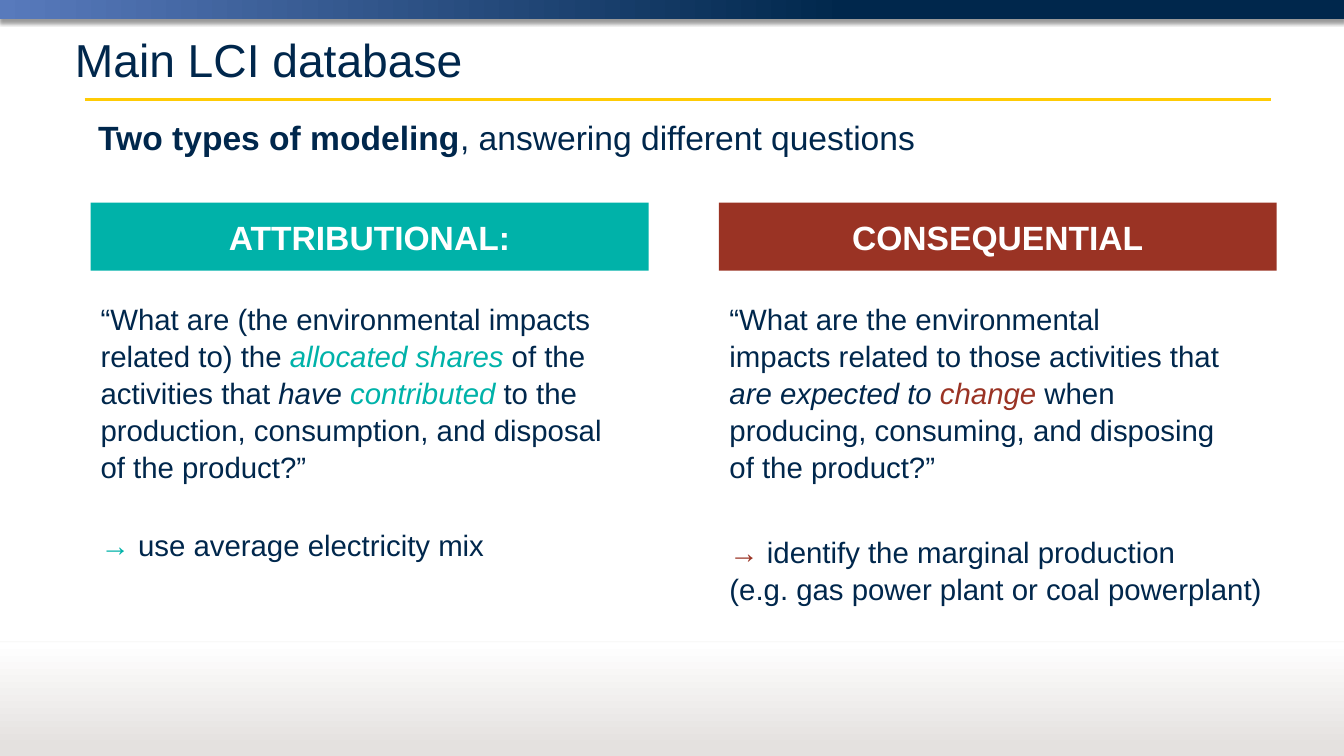
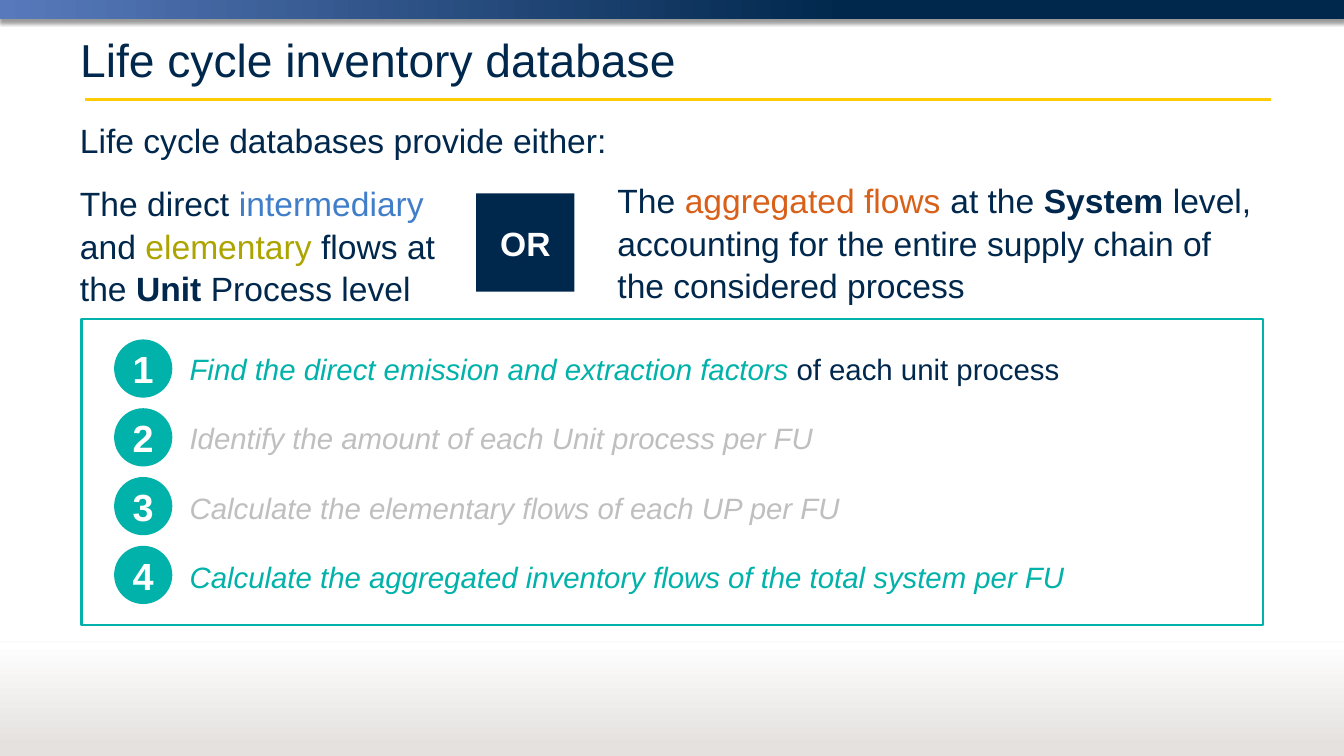
from dataclasses import dataclass

from lxml.etree import SubElement
from pptx import Presentation
from pptx.dml.color import RGBColor
from pptx.enum.shapes import MSO_CONNECTOR as Link, MSO_SHAPE as Kind
from pptx.enum.text import MSO_ANCHOR as Anchor, MSO_AUTO_SIZE as Fit, PP_ALIGN as Align
from pptx.oxml.ns import qn
from pptx.util import Inches, Pt


@dataclass(frozen=True)
class Theme:
    font: str = "Arial"
    navy: str = "00274C"
    blue: str = "587ABC"
    maize: str = "FFCB05"
    stone: str = "E4E1DF"
    white: str = "FFFFFF"
    black: str = "000000"
    teal: str = "00B2A9"
    red: str = "9A3324"
    sky: str = "407EC9"
    olive: str = "ADA400"
    orange: str = "D86018"
    grey: str = "BFBFBF"
    title: int = 44
    badge: int = 36
    head: int = 32
    body: int = 28
    lead: float = 1.05


T = Theme()
WIDE, HIGH = 17.78, 10

MODELS = {
    "title": "Main LCI database",
    "lead": [("Two types of modeling", T.navy, "b"), (", answering different questions",)],
    "columns": [
        {
            "head": "ATTRIBUTIONAL:", "color": T.teal, "left": 1.2, "gap": 39,
            "text": (1.23, 3.91, 7.11, 3.69),
            "paras": [
                [("“What are (the environmental impacts related to) the ",),
                 ("allocated shares ", T.teal, "i"), ("of the activities that ",),
                 ("have ", T.navy, "i"), ("contributed", T.teal, "i"),
                 (" to the production, consumption, and disposal of the product?”",)],
                [("→ ", T.teal), ("use average electricity mix",)],
            ],
        },
        {
            "head": "CONSEQUENTIAL", "color": T.red, "left": 9.51, "gap": 45,
            "text": (9.55, 3.91, 7.38, 4.26),
            "paras": [
                [("“What are the environmental\nimpacts related to those activities that\n",),
                 ("are expected to ", T.navy, "i"), ("change", T.red, "i"),
                 (" when\nproducing, consuming, and disposing\nof the product?”",)],
                [("→ ", T.red),
                 ("identify the marginal production\n(e.g. gas power plant or coal powerplant)",)],
            ],
        },
    ],
}

LEVELS = {
    "title": "Life cycle inventory database",
    "texts": [
        ((0.96, 1.51, 15.25, 0.64), [("Life cycle databases provide either:",)]),
        ((0.96, 2.35, 5.47, 1.72),
         [("The direct ",), ("intermediary\n", T.sky), ("and ",), ("elementary ", T.olive),
          ("flows at\nthe ",), ("Unit", T.navy, "b"), (" Process level",)]),
        ((8.07, 2.31, 8.89, 1.72),
         [("The ",), ("aggregated flows ", T.orange), ("at the ",), ("System", T.navy, "b"),
          (" level, accounting for the entire supply chain of\nthe considered process",)]),
    ],
    "choice": "OR",
    "steps": [
        [("Find the direct emission and extraction factors ", T.teal, "i"),
         ("of each unit process",)],
        [("Identify the amount of each Unit process per FU", T.grey, "i")],
        [("Calculate the elementary flows of each UP per FU", T.grey, "i")],
        [("Calculate the aggregated inventory flows of the total system per FU", T.teal, "i")],
    ],
}


def rgb(code):
    return RGBColor.from_string(code)


def place(shape, box):
    shape.left, shape.top, shape.width, shape.height = map(Inches, box)


def shade(shape, blur=0, dist=0, alpha=0):
    effect = SubElement(shape.element.spPr, qn("a:effectLst"))
    if alpha:
        cast = SubElement(effect, qn("a:outerShdw"), blurRad=str(Pt(blur)),
                          dist=str(Pt(dist)), dir="5400000", rotWithShape="0")
        tint = SubElement(cast, qn("a:srgbClr"), val=T.black)
        SubElement(tint, qn("a:alpha"), val=str(alpha * 1000))


def write(para, runs, size):
    for text, color, look in ((*run, T.navy, "")[:3] if len(run) == 1 else (*run, "")[:3]
                              for run in runs):
        for row, part in enumerate(text.split("\n")):
            if row:
                para.add_line_break()
            if part:
                run = para.add_run()
                run.text = part
                font = run.font
                font.name, font.size = T.font, Pt(size)
                font.bold, font.italic = "b" in look, "i" in look
                font.color.rgb = rgb(color)


def fill_text(shape, paras, size, align=Align.LEFT, anchor=Anchor.TOP, gap=0, lead=T.lead):
    frame = shape.text_frame
    frame.word_wrap, frame.auto_size = True, Fit.NONE
    frame.vertical_anchor = anchor
    for row, runs in enumerate(paras):
        para = frame.add_paragraph() if row else frame.paragraphs[0]
        para.alignment, para.line_spacing = align, lead
        para.space_before = Pt(gap if row else 0)
        write(para, runs, size)


def add_text(slide, box, runs, size, anchor=Anchor.TOP):
    shape = slide.shapes.add_textbox(*map(Inches, box))
    fill_text(shape, [runs], size, anchor=anchor)


def add_block(slide, kind, box, color=None):
    shape = slide.shapes.add_shape(kind, *map(Inches, box))
    shade(shape)
    if color:
        shape.fill.solid()
        shape.fill.fore_color.rgb = rgb(color)
    else:
        shape.fill.background()
    shape.line.fill.background()
    return shape


def add_label(slide, kind, box, color, text, size):
    shape = add_block(slide, kind, box, color)
    fill_text(shape, [[(text, T.white, "b")]], size, Align.CENTER, Anchor.MIDDLE, lead=1)


def add_band(slide, box, stops, angle, **cast):
    shape = slide.shapes.add_shape(Kind.RECTANGLE, *map(Inches, box))
    shade(shape, **cast)
    shape.fill.gradient()
    shape.fill.gradient_angle = angle
    for stop, (spot, color) in zip(shape.fill.gradient_stops, stops):
        stop.position, stop.color.rgb = spot, rgb(color)
    shape.line.fill.background()
    return shape


def add_rule(slide, left, right, top, color, width, **cast):
    rule = slide.shapes.add_connector(Link.STRAIGHT, *map(Inches, (left, top, right, top)))
    shade(rule, **cast)
    rule.line.color.rgb, rule.line.width = rgb(color), Pt(width)
    return rule


def dress(master, slide):
    edge = add_rule(slide, 0, WIDE, 8.49, T.stone, 0.75, blur=3.1, dist=1.6, alpha=38)
    tint = edge.element.xpath(".//a:ln//a:srgbClr")[0]
    SubElement(tint, qn("a:alpha"), val="30000")
    parts = [
        add_band(slide, (0, 0, WIDE, 0.25), [(0, T.blue), (0.63, T.navy)], 0,
                 blur=4, dist=3, alpha=40),
        add_rule(slide, 1.12, 16.81, 1.32, T.maize, 3),
        add_band(slide, (0, 8.5, WIDE, 1.5), [(0.08, T.stone), (1, T.white)], 90),
        edge,
    ]
    for row, part in enumerate(parts):
        part.element.xpath(".//p:cNvPr")[0].set("id", str(20 + row))
        master.shapes.element.insert(2 + row, part.element)


def set_title(slide, text, left, top):
    title = slide.shapes.title
    place(title, (left, top, 16, 0.95))
    fill_text(title, [[(text,)]], T.title, anchor=Anchor.MIDDLE, lead=1)


def draw_models(slide):
    set_title(slide, MODELS["title"], 0.89, 0.31)
    add_text(slide, (1.2, 1.3, 15.52, 1), MODELS["lead"], T.head, Anchor.MIDDLE)
    for spot, col in enumerate(MODELS["columns"], 1):
        add_label(slide, Kind.RECTANGLE, (col["left"], 2.68, 7.38, 0.9),
                  col["color"], col["head"], T.head)
        body = slide.placeholders[spot]
        place(body, col["text"])
        fill_text(body, col["paras"], T.body, gap=col["gap"])
        for para in body.text_frame.paragraphs:
            props = para._p.get_or_add_pPr()
            props.set("marL", "0")
            props.set("indent", "0")
            SubElement(props, qn("a:buNone"))


def draw_levels(slide):
    set_title(slide, LEVELS["title"], 0.96, 0.3)
    for box, runs in LEVELS["texts"]:
        add_text(slide, box, runs, T.head)
    add_label(slide, Kind.RECTANGLE, (6.3, 2.56, 1.3, 1.3), T.navy, LEVELS["choice"], T.head)
    frame = add_block(slide, Kind.RECTANGLE, (1.08, 4.22, 15.63, 4.05))
    frame.line.color.rgb, frame.line.width = rgb(T.teal), Pt(2.5)
    for row, runs in enumerate(LEVELS["steps"]):
        add_label(slide, Kind.OVAL, (1.51, 4.49 + 0.91 * row, 0.77, 0.77),
                  T.teal, str(row + 1), T.badge)
        add_text(slide, (2.41, 4.57 + 0.92 * row, 12.3, 0.57), runs, T.body)


def main():
    deck = Presentation()
    deck.slide_width, deck.slide_height = Inches(WIDE), Inches(HIGH)
    first = deck.slides.add_slide(deck.slide_layouts[3])
    dress(deck.slide_master, first)
    draw_models(first)
    draw_levels(deck.slides.add_slide(deck.slide_layouts[5]))
    deck.save("out.pptx")


if __name__ == "__main__":
    main()
